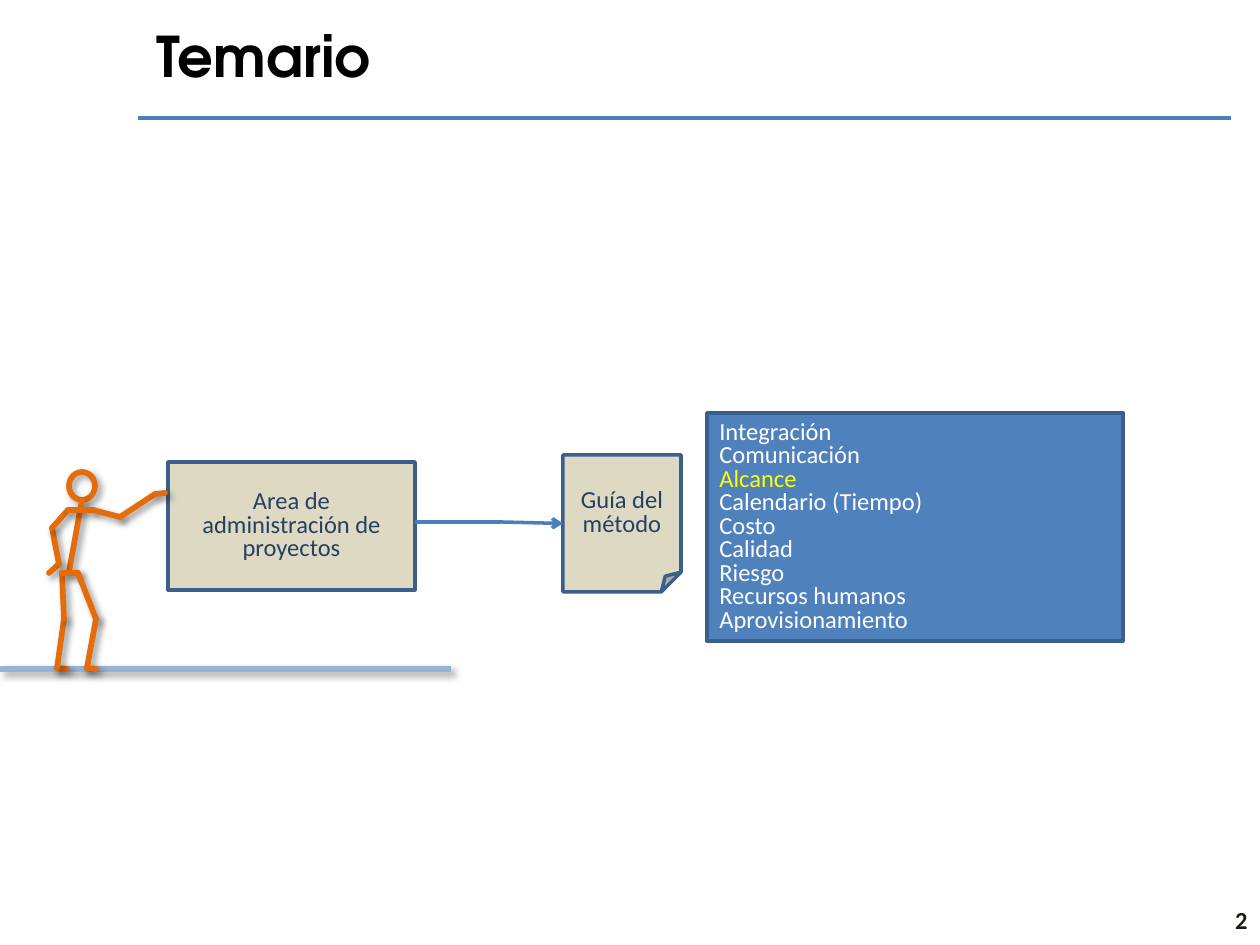
from lxml import etree
from pptx import Presentation
from pptx.dml.color import RGBColor
from pptx.enum.shapes import MSO_CONNECTOR, MSO_SHAPE
from pptx.enum.text import MSO_ANCHOR, PP_ALIGN
from pptx.oxml.ns import qn
from pptx.util import Emu, Pt

STRAIGHT = MSO_CONNECTOR.STRAIGHT
RECTANGLE, OVAL, FOLDED = MSO_SHAPE.RECTANGLE, MSO_SHAPE.OVAL, MSO_SHAPE.FOLDED_CORNER
MIDDLE = MSO_ANCHOR.MIDDLE
LEFT, CENTER, RIGHT = PP_ALIGN.LEFT, PP_ALIGN.CENTER, PP_ALIGN.RIGHT
LEFT_SIDE = 1
PX_PER_INCH = 126

BLUE, OUTLINE, ACCENT, GROUND = "4B7EBC", "3A5F8C", "4F81BD", "95B3D7"
BEIGE, NAVY, ORANGE = "DDD9C3", "254061", "E46C0A"
WHITE, BLACK, DARK, YELLOW = "FFFFFF", "000000", "1E1C11", "FFFF00"

AREAS = [
    "Integración", "Comunicación", "Alcance", "Calendario (Tiempo)", "Costo",
    "Calidad", "Riesgo", "Recursos humanos", "Aprovisionamiento",
]
CURRENT_AREA = "Alcance"

LIMBS = [
    [(33, 28), (20, 100)],
    [(0, 101), (10, 92), (3, 56), (19, 38), (44, 38), (71, 45), (106, 22), (116, 21)],
    [(18, 197), (8, 196), (15, 147), (13, 101), (29, 101), (47, 147), (38, 196), (47, 197)],
]


def px(value):
    """Turn px into EMU."""
    return Emu(round(value * 914400 / PX_PER_INCH))


def color(value):
    """Turn a hex string into a colour."""
    return RGBColor.from_string(value)


def set_effects(shape, shadow):
    """Give the shape a soft shadow, or none at all."""
    effects = etree.SubElement(shape._element.spPr, qn("a:effectLst"))
    if shadow:
        outer = etree.SubElement(
            effects, qn("a:outerShdw"), blurRad=str(Pt(4)), dist=str(Pt(3)),
            dir=str(45 * 60000), algn="tl", rotWithShape="0")
        tint = etree.SubElement(outer, qn("a:srgbClr"), val=BLACK)
        etree.SubElement(tint, qn("a:alpha"), val="40000")


def add_line(shapes, start, end, line, width, shadow=False, arrow=False, rounded=False):
    """Draw a straight connector between two points."""
    connector = shapes.add_connector(STRAIGHT, *map(px, start + end))
    connector.line.color.rgb = color(line)
    connector.line.width = Pt(width)
    outline = connector.line._get_or_add_ln()
    if rounded:
        outline.set("cap", "rnd")
    if arrow:
        etree.SubElement(outline, qn("a:tailEnd"), type="arrow")
    set_effects(connector, shadow)
    return connector


def add_box(shapes, kind, box, line, width, fill=None, shadow=False):
    """Draw an outlined preset shape, filled if a fill is given."""
    shape = shapes.add_shape(kind, *map(px, box))
    if fill:
        shape.fill.solid()
        shape.fill.fore_color.rgb = color(fill)
    else:
        shape.fill.background()
    shape.line.color.rgb = color(line)
    shape.line.width = Pt(width)
    set_effects(shape, shadow)
    return shape


def write(shape, lines, size=14, font="Calibri", ink=BLACK, bold=False,
          align=LEFT, spacing=None, highlights=()):
    """Write one paragraph per line into the shape."""
    frame = shape.text_frame
    frame.word_wrap = True
    frame.vertical_anchor = MIDDLE
    for index, line in enumerate(lines):
        paragraph = frame.add_paragraph() if index else frame.paragraphs[0]
        paragraph.alignment = align
        paragraph.line_spacing = spacing
        run = paragraph.add_run()
        run.text = line
        run.font.size, run.font.name, run.font.bold = Pt(size), font, bold
        run.font.color.rgb = color(YELLOW if line in highlights else ink)


def add_header(slide, left, top, width, height):
    """Place the title and the rule below it."""
    add_line(slide.shapes, (left, top + height), (left + width, top + height), BLUE, 2.25)
    title = slide.shapes.add_textbox(*map(px, (left + 6, top, width - 12, 98)))
    write(title, ["Temario"], size=32, font="TeX Gyre Adventor", bold=True)


def add_page_number(slide, left, top, width, height):
    """Place the page number."""
    number = slide.shapes.add_textbox(*map(px, (left, top, width, height)))
    write(number, ["2"], ink=DARK, bold=True, align=RIGHT)


def add_process(slide, left, top, width, height):
    """Place the department, the guide it follows and the guide's areas."""
    shapes = slide.shapes
    guide = add_box(shapes, FOLDED, (left + 395, top + 42, 118, 137), OUTLINE, 2, BEIGE)
    write(guide, ["Guía del método"], ink=NAVY, align=CENTER, spacing=0.8)
    areas = add_box(shapes, RECTANGLE, (left + width - 416, top, 416, height), OUTLINE, 2, ACCENT)
    write(areas, AREAS, ink=WHITE, spacing=0.8, highlights=[CURRENT_AREA])
    department = add_box(shapes, RECTANGLE, (left, top + 49, 247, 128), OUTLINE, 2, BEIGE)
    write(department, ["Area de administración de proyectos"], ink=NAVY, align=CENTER, spacing=0.8)
    bend = (left + 333, top + 109)
    arrow = add_line(shapes, bend, (left + 395, top + 110), BLUE, 2, arrow=True)
    arrow.end_connect(guide, LEFT_SIDE)
    add_line(shapes, (left + 247, top + 109), bend, BLUE, 2)


def add_stick_figure(slide, left, top):
    """Draw a person pointing to the right."""
    figure = slide.shapes.add_group_shape().shapes
    add_box(figure, OVAL, (left + 20, top, 26, 28), ORANGE, 3.25, shadow=True)
    for limb in LIMBS:
        joints = [(left + x, top + y) for x, y in limb]
        for start, end in zip(joints, joints[1:]):
            add_line(figure, start, end, ORANGE, 3.25, shadow=True, rounded=True)


def main():
    """Build the slide and save it."""
    presentation = Presentation()
    presentation.slide_width, presentation.slide_height = px(1260), px(945)
    slide = presentation.slides.add_slide(presentation.slide_layouts[6])
    add_header(slide, 138, 6, 1093, 112)
    add_page_number(slide, 966, 895, 294, 50)
    add_process(slide, 168, 413, 955, 228)
    add_line(slide.shapes, (0, 669), (451, 669), GROUND, 3, shadow=True)
    add_stick_figure(slide, 49, 472)
    presentation.save("out.pptx")


if __name__ == "__main__":
    main()
